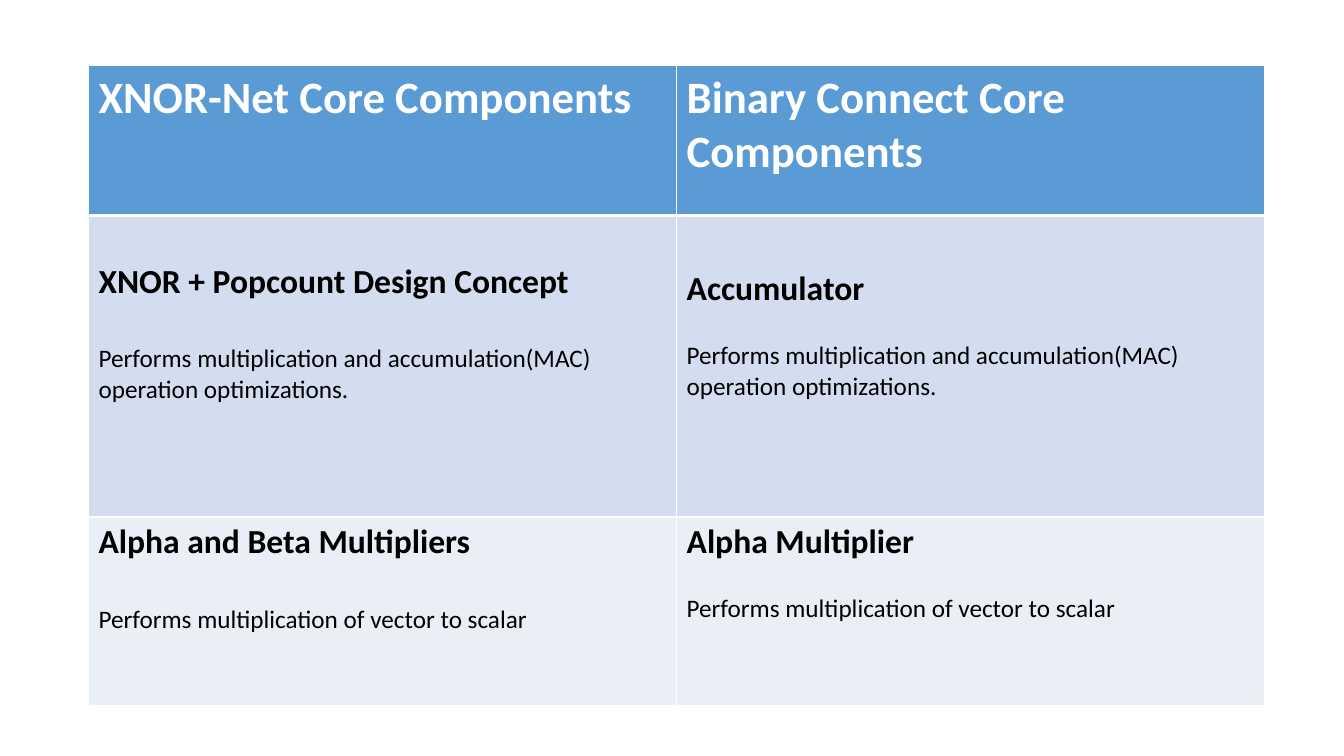
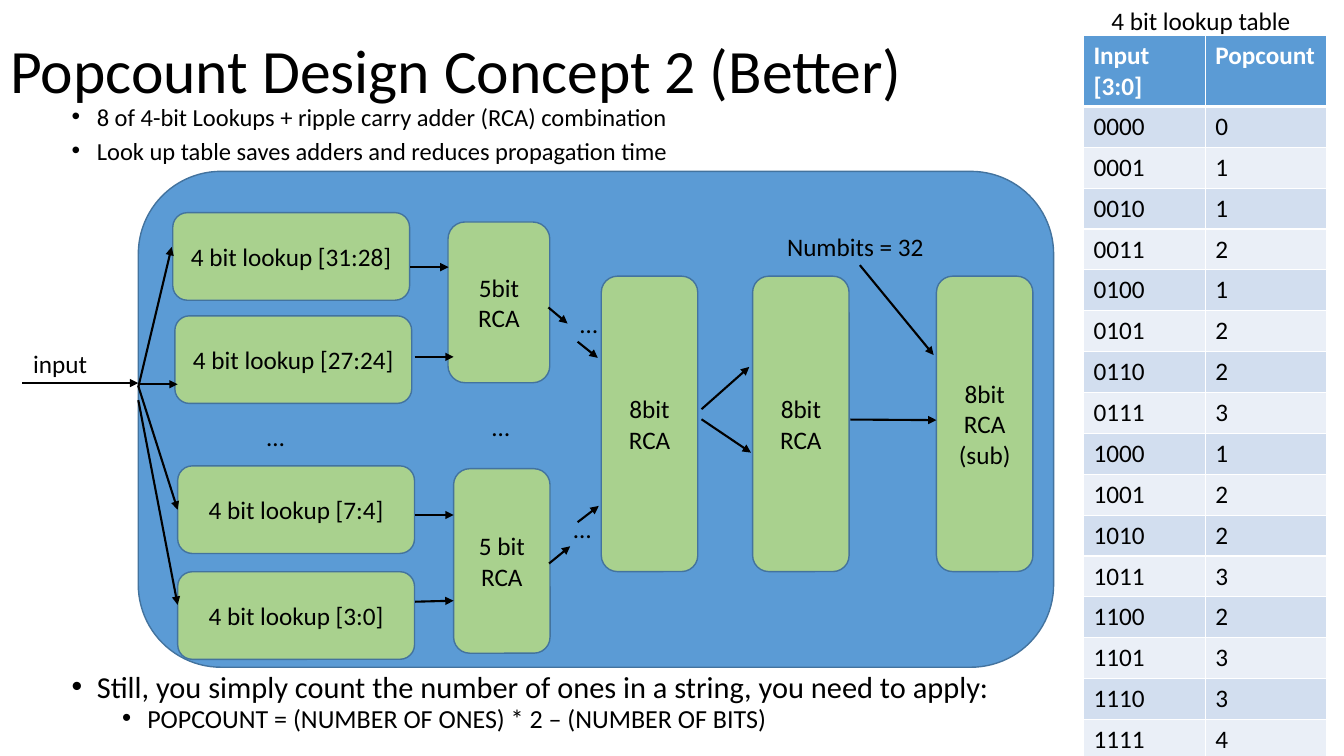
from dataclasses import dataclass

from pptx import Presentation
from pptx.dml.color import RGBColor as RGB
from pptx.enum.shapes import MSO_CONNECTOR as CONN, MSO_SHAPE as SHAPE
from pptx.enum.text import MSO_ANCHOR as ANCHOR, MSO_AUTO_SIZE as FIT, PP_ALIGN as ALIGN
from pptx.oxml.ns import qn
from pptx.util import Pt
from lxml.etree import SubElement, Element


@dataclass(frozen=True)
class Theme:
    font: str = "Calibri"
    black: str = "000000"
    white: str = "FFFFFF"
    blue: str = "5B9BD5"
    green: str = "A9D18E"
    outline: str = "43739E"
    bands: tuple = ("D2DEEF", "EAEFF7")
    title: float = 44
    heading: float = 32
    subheading: float = 24
    body: float = 18
    intro: float = 17.5
    note: float = 21.7
    formula: float = 18.6


T = Theme()
TITLE_ONLY, BLANK = 5, 6
LEFT = 1  # connection site


# Text
def write(tf, text, size=T.body, color=T.black, bold=False, align=ALIGN.LEFT,
          before=0, spacing=None, bullet=False, level=0):
    """Fill the first empty paragraph, or add one after the last."""
    p = tf.paragraphs[0]
    if p.runs:
        p = tf.add_paragraph()
    p.alignment = align
    p.level = level
    p.space_before = Pt(before)
    if spacing:
        p.line_spacing = spacing
    if bullet:
        pPr = p._p.get_or_add_pPr()
        pPr.set("marL", str(Pt(18 + 36 * level)))
        pPr.set("indent", str(-Pt(18)))
        SubElement(pPr, qn("a:buFont"), typeface="Arial")
        SubElement(pPr, qn("a:buChar"), char="•")
    r = p.add_run()
    r.text = text
    r.font.name = T.font
    r.font.size = Pt(size)
    r.font.bold = bold
    r.font.color.rgb = RGB.from_string(color)


def text_box(s, x, y, w, h, text=None):
    tf = s.shapes.add_textbox(Pt(x), Pt(y), Pt(w), Pt(h)).text_frame
    tf.word_wrap = True
    if text:
        write(tf, text)
    return tf


def set_title(s, text, x, y, w, h):
    sp = s.shapes.title
    sp.left, sp.top, sp.width, sp.height = Pt(x), Pt(y), Pt(w), Pt(h)
    tf = sp.text_frame
    tf.auto_size = FIT.NONE
    tf.vertical_anchor = ANCHOR.MIDDLE
    write(tf, text, size=T.title, spacing=0.9)


# Shapes and arrows
def block(s, x, y, w, h, *lines, fill=T.green):
    sp = s.shapes.add_shape(SHAPE.ROUNDED_RECTANGLE, Pt(x), Pt(y), Pt(w), Pt(h))
    sp.shadow.inherit = False
    sp.fill.solid()
    sp.fill.fore_color.rgb = RGB.from_string(fill)
    sp.line.color.rgb = RGB.from_string(T.outline)
    sp.line.width = Pt(1)
    sp.text_frame.vertical_anchor = ANCHOR.MIDDLE
    for line in lines:
        write(sp.text_frame, line, align=ALIGN.CENTER)
    return sp


def arrow(s, x1, y1, x2, y2, target=None):
    line = s.shapes.add_connector(CONN.STRAIGHT, Pt(x1), Pt(y1), Pt(x2), Pt(y2))
    if target:
        line.end_connect(target, LEFT)
    line.line.color.rgb = RGB.from_string(T.black)
    line.line.width = Pt(1.5)
    SubElement(line.line._get_or_add_ln(), qn("a:tailEnd"), type="triangle")
    SubElement(line._element.spPr, qn("a:effectLst"))


# Tables
def style_cell(cell, row):
    cell.fill.solid()
    cell.fill.fore_color.rgb = RGB.from_string(T.bands[(row - 1) % 2] if row else T.blue)
    tcPr = cell._tc.get_or_add_tcPr()
    for i, side in enumerate("LRTB"):
        thick = (row == 0 and side == "B") or (row == 1 and side == "T")
        ln = Element(qn(f"a:ln{side}"), w=str(Pt(3 if thick else 1)))
        SubElement(SubElement(ln, qn("a:solidFill")), qn("a:srgbClr"), val=T.white)
        tcPr.insert(i, ln)


def table(s, x, y, col_width, heights, headers, header_size):
    """Add a two-tone banded table with its header row filled in."""
    n = len(headers)
    tbl = s.shapes.add_table(len(heights), n, Pt(x), Pt(y),
                             Pt(col_width * n), Pt(sum(heights))).table
    for col in tbl.columns:
        col.width = Pt(col_width)
    for i, height in enumerate(heights):
        tbl.rows[i].height = Pt(height)
        for j in range(n):
            style_cell(tbl.cell(i, j), i)
    for j, header in enumerate(headers):
        write(tbl.cell(0, j).text_frame, header, size=header_size, color=T.white, bold=True)
    return tbl


# Slides
def components_slide(prs):
    s = prs.slides.add_slide(prs.slide_layouts[BLANK])
    tbl = table(s, 63.2, 46.8, 420.1, (107.2, 215.3, 134.6),
                ("XNOR-Net Core Components", "Binary Connect Core Components"), T.heading)
    mac = "Performs multiplication and accumulation(MAC) operation optimizations."
    scale = "Performs multiplication of vector to scalar"
    # Each cell: heading, description, top margin, gap between the two
    rows = (
        (("XNOR + Popcount Design Concept", mac, 32.9, 29.3),
         ("Accumulator", mac, 37.8, 22)),
        (("Alpha and Beta Multipliers", scale, 3.6, 29.3),
         ("Alpha Multiplier", scale, 3.6, 22)),
    )
    for i, row in enumerate(rows, 1):
        for j, (heading, description, top, gap) in enumerate(row):
            cell = tbl.cell(i, j)
            cell.margin_top = Pt(top)
            write(cell.text_frame, heading, size=T.subheading, bold=True)
            write(cell.text_frame, description, before=gap)


def popcount_diagram(s):
    block(s, 98.8, 122.4, 653.8, 354.2, fill=T.blue)

    # Lookup blocks and adders
    lookups = [block(s, x, y, 169.2, 62.6, f"4 bit lookup [{bits}]") for x, y, bits in (
        (123.4, 151.9, "31:28"), (124.9, 225.6, "27:24"),
        (126.9, 332.8, "7:4"), (126.9, 408.4, "3:0"))]
    block(s, 320, 158.6, 72.7, 114.8, "5bit RCA")
    block(s, 324, 334.8, 68.9, 131.8, "5 bit RCA")
    for x, lines in ((429.5, ["8bit RCA"]), (537.6, ["8bit RCA"]),
                     (668.9, ["8bit RCA", "(sub)"])):
        block(s, x, 197.3, 68.9, 211, *lines)

    # Signal flow
    for ends in (
        (15.8, 273.6, 98.8, 273.6),
        (98.8, 276.5, 122.6, 176.4), (98.8, 274.5, 126.9, 274.5), (98.8, 285.8, 126.9, 432),
        (293, 190.8, 320.4, 190.8), (296.2, 254.9, 324, 254.9),
        (296.2, 367.9, 324, 367.9), (296.6, 429.8, 324, 429.1),
        (391.7, 219.6, 405.4, 231.1), (412.6, 244.1, 427, 255.6),
        (392.2, 402.5, 407.3, 390.2), (412.6, 373, 427.7, 361.4),
        (501.1, 292.3, 535.2, 262.1), (501.1, 299.5, 536.4, 323.3),
        (607.5, 299.7, 668.9, 300.1), (614.2, 189.4, 666.9, 253.6),
    ):
        arrow(s, *ends)
    arrow(s, 98.8, 275.8, 126.9, 364.1, target=lookups[2])

    # Labels
    for x, y in ((183.6, 297.4), (344.4, 290.2), (407.3, 216.7), (402.7, 362.9)):
        text_box(s, x, y, 97.2, 28.8, "…")
    text_box(s, 16.6, 245.5, 85.7, 28.8, "input")
    text_box(s, 555.1, 162, 141.8, 28.8, "Numbits = 32")


def lookup_table(s):
    text_box(s, 786.8, 0, 148.3, 28.8, "4 bit lookup table")
    tbl = table(s, 773.9, 25.2, 87, [50.8] + [29.2] * 16, ("Input [3:0]", "Popcount"), T.body)
    for n in range(16):
        bits = f"{n:04b}"
        write(tbl.cell(n + 1, 0).text_frame, bits)
        write(tbl.cell(n + 1, 1).text_frame, str(bits.count("1")))


def popcount_slide(prs):
    s = prs.slides.add_slide(prs.slide_layouts[TITLE_ONLY])
    set_title(s, "Popcount Design Concept 2 (Better)", 0, 0, 828, 104.4)

    intro = text_box(s, 44.1, 74.9, 557.3, 50.4)
    write(intro, "8 of 4-bit Lookups + ripple carry adder (RCA) combination",
          size=T.intro, spacing=0.7, bullet=True)
    write(intro, "Look up table saves adders and reduces propagation time",
          size=T.intro, spacing=0.7, before=10, bullet=True)

    popcount_diagram(s)
    lookup_table(s)

    note = text_box(s, 44.1, 481, 733, 54)
    write(note, "Still, you simply count the number of ones in a string, you need to apply:",
          size=T.note, spacing=0.7, bullet=True)
    write(note, "POPCOUNT = (NUMBER OF ONES) * 2 – (NUMBER OF BITS)",
          size=T.formula, spacing=0.7, before=5, bullet=True, level=1)


def main():
    prs = Presentation()
    prs.slide_width, prs.slide_height = Pt(960), Pt(540)
    components_slide(prs)
    popcount_slide(prs)
    prs.save("out.pptx")


if __name__ == "__main__":
    main()
